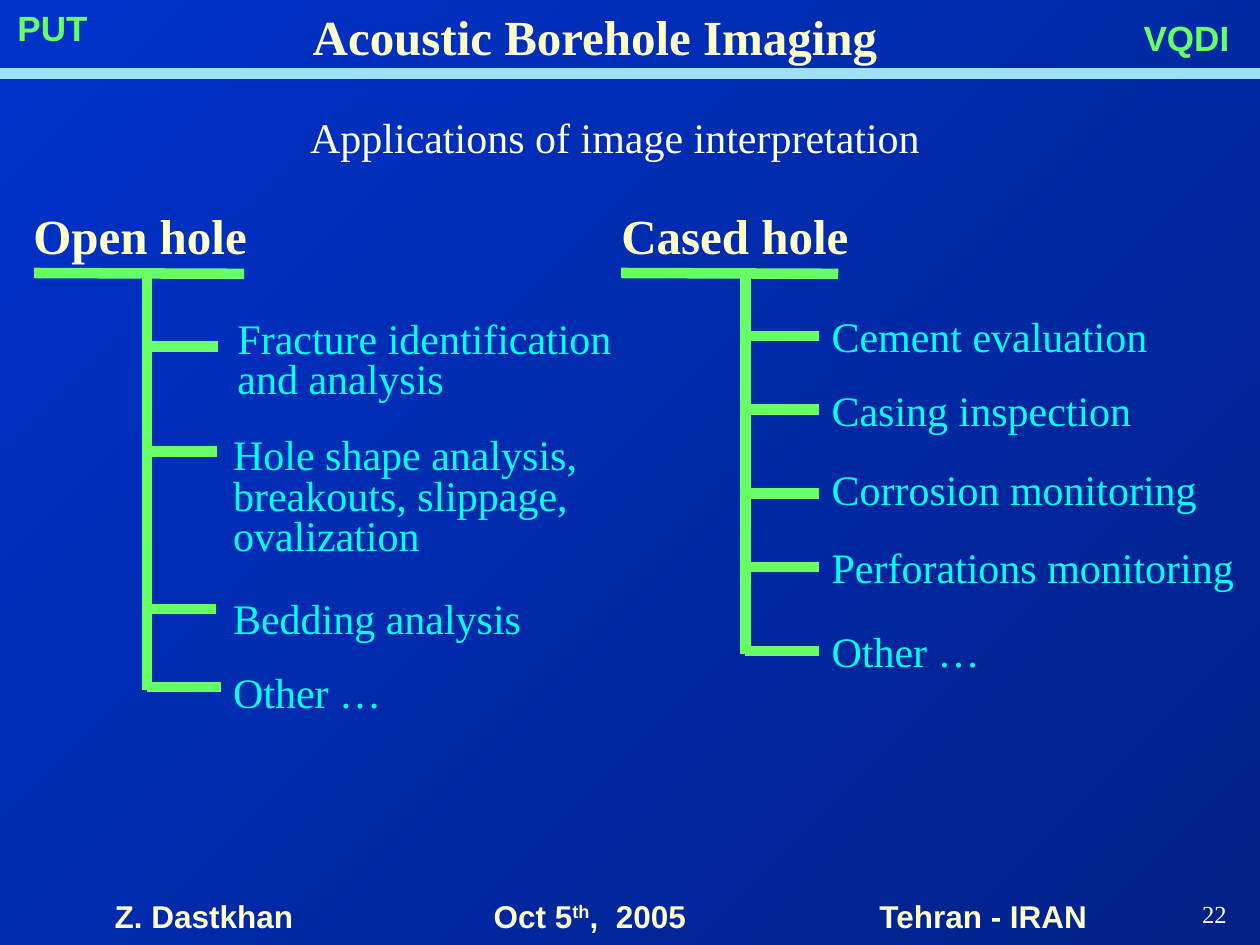
from dataclasses import dataclass
from itertools import pairwise

from lxml import etree
from pptx import Presentation
from pptx.dml.color import RGBColor
from pptx.enum.shapes import MSO_CONNECTOR
from pptx.enum.text import MSO_ANCHOR, MSO_AUTO_SIZE, PP_ALIGN
from pptx.oxml.ns import qn
from pptx.util import Pt

LINE = MSO_CONNECTOR.STRAIGHT
TOP = MSO_ANCHOR.TOP
FIXED = MSO_AUTO_SIZE.NONE
LEFT, MID, RIGHT = PP_ALIGN.LEFT, PP_ALIGN.CENTER, PP_ALIGN.RIGHT


@dataclass(frozen=True)
class Style:
    size: float
    face: str
    color: str
    bold: bool = False


@dataclass(frozen=True)
class Theme:
    dark: str = "002187"
    light: str = "0033CC"
    band: str = "9EE0FA"
    tree: str = "66FF66"
    head: Style = Style(28, "Times New Roman", "FFFFCC", True)
    lead: Style = Style(24, "Times New Roman", "FFFFFF")
    item: Style = Style(24, "Times New Roman", "00FFFF")
    mark: Style = Style(20, "Arial", "66FF66", True)
    foot: Style = Style(18, "Arial", "FFFFCC", True)
    page: Style = Style(14, "Times New Roman", "FFFFFF")


@dataclass(frozen=True)
class Box:
    left: float
    top: float
    width: float
    height: float


@dataclass(frozen=True)
class Label:
    text: str
    box: Box
    style: Style
    align: PP_ALIGN = LEFT


@dataclass(frozen=True)
class Item:
    text: str
    stub: float
    gap: float = 0
    shift: float = 0
    inset: float = 0
    lines: float = 1


@dataclass(frozen=True)
class Tree:
    head: Label
    bar: tuple[float, float]
    trunk: float
    lap: float
    body: Box
    items: tuple[Item, ...]


THEME = Theme()
STUB = 42
TITLE = Label("Acoustic Borehole Imaging", Box(171.5, 0, 366, 41), THEME.head)
LABELS = (
    Label("PUT", Box(0, 0, 60, 31.5), THEME.mark, MID),
    Label("VQDI", Box(642, 6, 72, 31.5), THEME.mark, MID),
    Label("Applications of image interpretation",
          Box(144.5, 60, 414, 36), THEME.lead, MID),
    Label("22", Box(672, 510, 36, 36), THEME.page, RIGHT),
)
FOOT = Box(58.5, 509, 582, 50)
FOOT_TABS = (216.5, 437)
TREES = (
    Tree(Label("Open hole", Box(12, 114, 186, 41), THEME.head),
         (19.5, 139.5), 84, 0, Box(126, 180.5, 238, 233.5), (
        Item("Fracture identification and analysis", 198,
             shift=-1.5, inset=2.5, lines=0.8),
        Item("Hole shape analysis, breakouts, slippage, ovalization", 258,
             20.5, shift=-2, lines=0.8),
        Item("Bedding analysis", 348, 19, shift=-2.5),
        Item("Other …", 392.5, 13.2))),
    Tree(Label("Cased hole", Box(348, 114, 186, 41), THEME.head),
         (355, 479), 426, 3.5, Box(468, 174, 252, 216), (
        Item("Cement evaluation", 192),
        Item("Casing inspection", 234, 13.2),
        Item("Corrosion monitoring", 282, 16.2),
        Item("Perforations monitoring", 324, 15.8),
        Item("Other …", 372, 19.2))),
)


def paint(run, style: Style) -> None:
    font = run.font
    font.size, font.name, font.bold = Pt(style.size), style.face, style.bold
    font.color.rgb = RGBColor.from_string(style.color)


def add_run(para, text: str, style: Style):
    run = para.add_run()
    run.text = text
    paint(run, style)
    return run


def place(shape, box: Box):
    """Move a text shape, fix its frame and return the frame."""
    shape.left, shape.top = Pt(box.left), Pt(box.top)
    shape.width, shape.height = Pt(box.width), Pt(box.height)
    frame = shape.text_frame
    frame.word_wrap, frame.auto_size = True, FIXED
    frame.vertical_anchor = TOP
    return frame


def new_box(slide, box: Box):
    return place(slide.shapes.add_textbox(0, 0, 0, 0), box)


def fill_label(frame, label: Label) -> None:
    para = frame.paragraphs[0]
    para.alignment = label.align
    add_run(para, label.text, label.style)


def add_line(slide, start, end, color: str, width: float) -> None:
    line = slide.shapes.add_connector(LINE, *map(Pt, (*start, *end)))
    line.line.color.rgb = RGBColor.from_string(color)
    line.line.width = Pt(width)
    etree.SubElement(line._element.spPr, qn("a:effectLst"))


def fill_list(frame, items: tuple[Item, ...]) -> None:
    for i, item in enumerate(items):
        para = frame.add_paragraph() if i else frame.paragraphs[0]
        para.space_before, para.line_spacing = Pt(item.gap), item.lines
        props = para._p.get_or_add_pPr()
        props.set("marL", str(Pt(item.inset)))
        props.set("indent", "0")
        etree.SubElement(props, qn("a:buNone"))
        add_run(para, item.text, THEME.item)


def add_tree(slide, tree: Tree, body) -> None:
    fill_label(new_box(slide, tree.head.box), tree.head)
    fill_list(place(body, tree.body), tree.items)
    left, right = tree.bar
    add_line(slide, (left, 156), (right, 156.5), THEME.tree, 6)
    stubs = [item.stub for item in tree.items]
    for i, (top, end) in enumerate(pairwise([157.5, *stubs])):
        start = top - tree.lap if i else top
        add_line(slide, (tree.trunk, start), (tree.trunk, end + 2),
                 THEME.tree, 6)
    for item in tree.items:
        x = tree.trunk + item.shift
        add_line(slide, (x, item.stub), (x + STUB, item.stub), THEME.tree, 6)


def add_foot(slide) -> None:
    para = new_box(slide, FOOT).paragraphs[0]
    tabs = etree.SubElement(para._p.get_or_add_pPr(), qn("a:tabLst"))
    for stop in FOOT_TABS:
        etree.SubElement(tabs, qn("a:tab"), pos=str(Pt(stop)), algn="l")
    add_run(para, "Z. Dastkhan\tOct 5", THEME.foot)
    power = add_run(para, "th", THEME.foot)
    power._r.get_or_add_rPr().set("baseline", "30000")
    add_run(para, ",  2005\tTehran - IRAN", THEME.foot)


def set_back(slide) -> None:
    fill = slide.background.fill
    fill.gradient()
    fill.gradient_angle = 135
    for stop, color in zip(fill.gradient_stops, (THEME.dark, THEME.light)):
        stop.color.rgb = RGBColor.from_string(color)


def main() -> None:
    deck = Presentation()
    deck.slide_width, deck.slide_height = Pt(720), Pt(540)
    slide = deck.slides.add_slide(deck.slide_layouts[3])
    set_back(slide)
    title, *bodies = slide.placeholders
    fill_label(place(title, TITLE.box), TITLE)
    add_line(slide, (0, 42), (720, 42), THEME.band, 6.5)
    for label in LABELS:
        fill_label(new_box(slide, label.box), label)
    for tree, body in zip(TREES, bodies):
        add_tree(slide, tree, body)
    add_foot(slide)
    deck.save("out.pptx")


if __name__ == "__main__":
    main()
